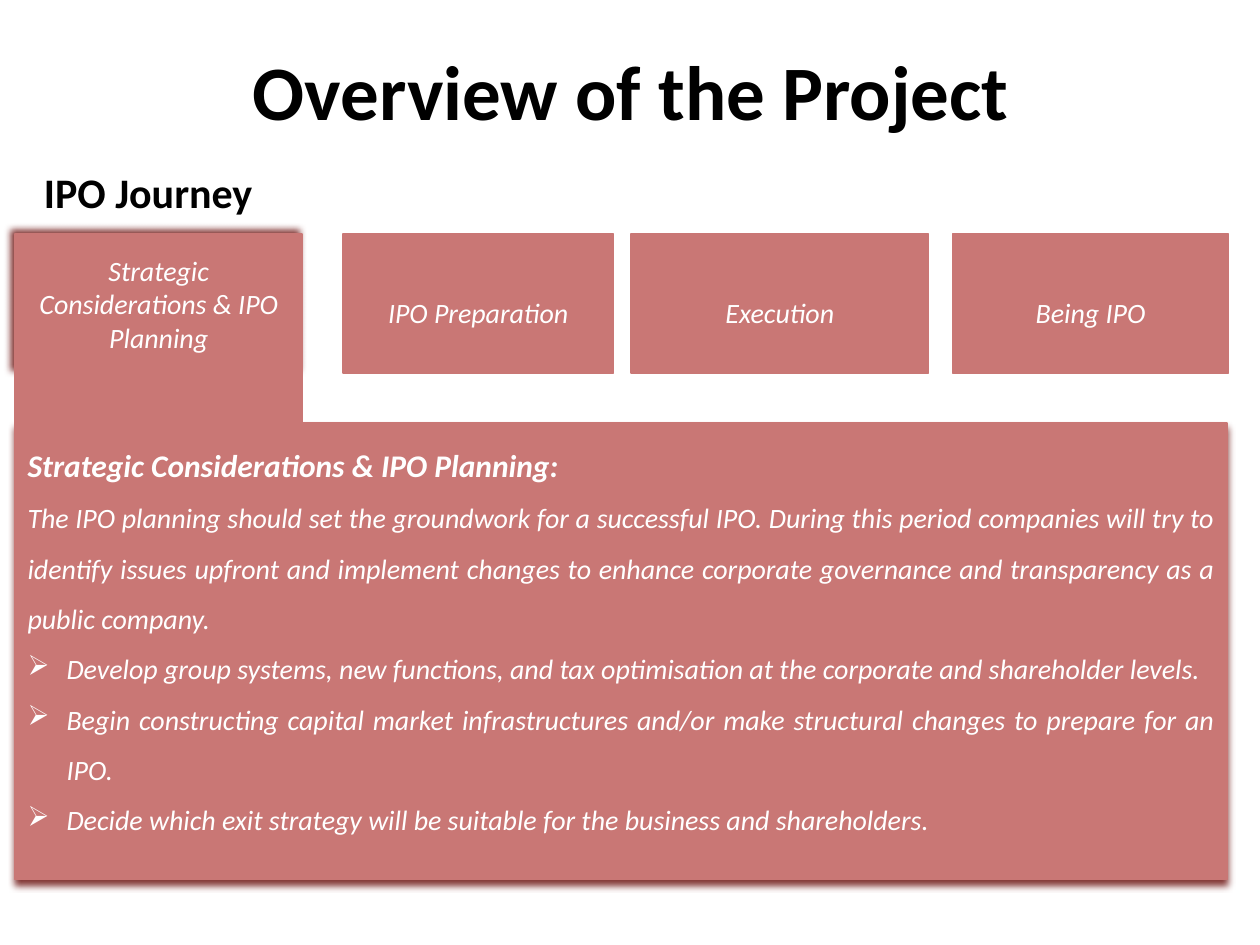
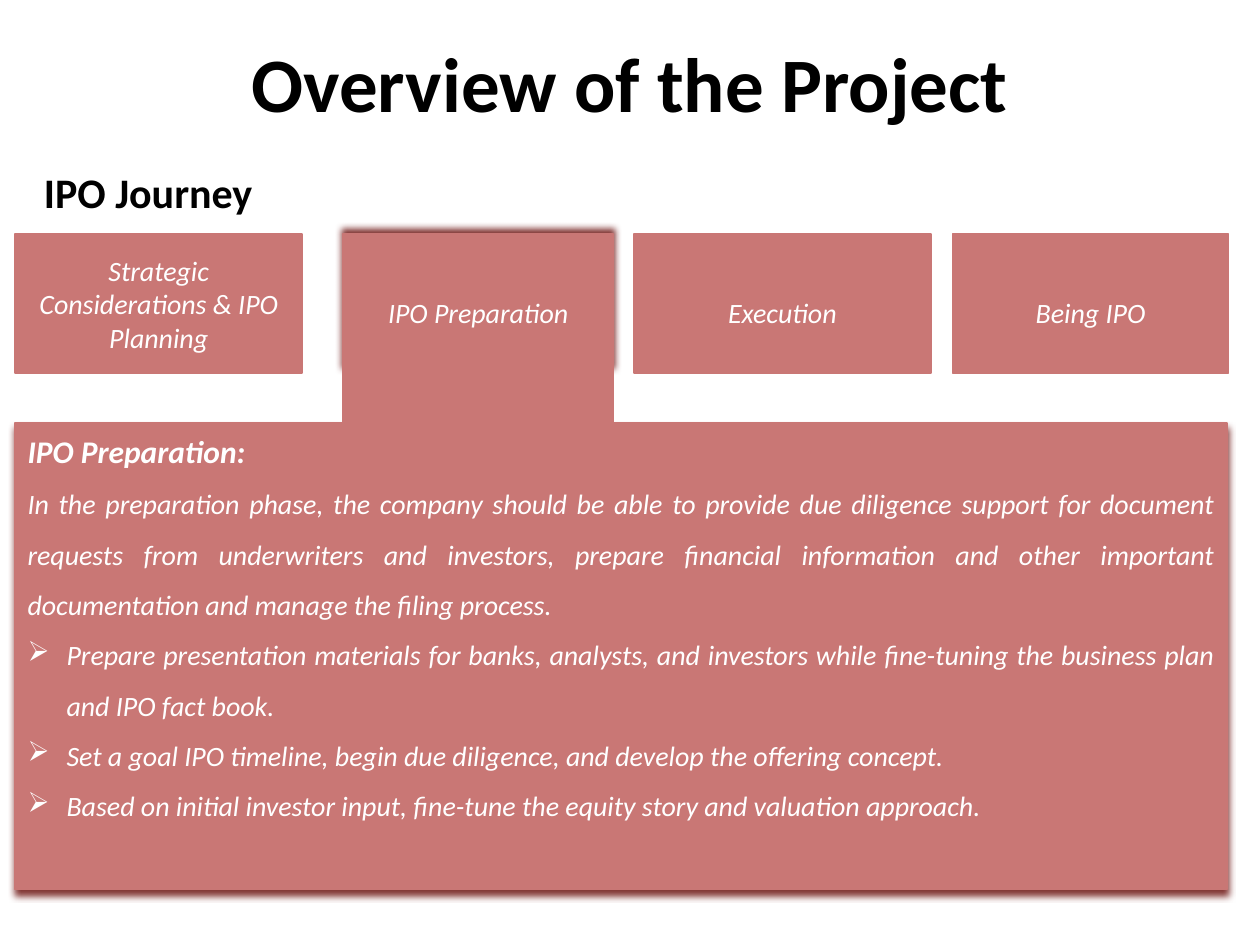
from dataclasses import dataclass

from lxml import etree
from pptx import Presentation
from pptx.dml.color import RGBColor
from pptx.enum.shapes import MSO_SHAPE
from pptx.enum.text import MSO_ANCHOR, PP_ALIGN
from pptx.oxml.ns import qn
from pptx.util import Inches, Pt

RECTANGLE = MSO_SHAPE.RECTANGLE
TOP, MIDDLE = MSO_ANCHOR.TOP, MSO_ANCHOR.MIDDLE
LEFT, CENTER, JUSTIFY = PP_ALIGN.LEFT, PP_ALIGN.CENTER, PP_ALIGN.JUSTIFY


@dataclass(frozen=True)
class Theme:
    font: str = "Calibri"
    ink: RGBColor = RGBColor(0, 0, 0)
    paper: RGBColor = RGBColor(0xFF, 0xFF, 0xFF)
    rose: RGBColor = RGBColor(0xC9, 0x77, 0x75)
    shadow: str = "823634"
    title_size: int = 44
    subtitle_size: int = 24
    heading_size: int = 18
    body_size: int = 16
    loose: float = 1.5


THEME = Theme()

# Stages of the journey: label, width, line spacing
STAGES = [
    ("Strategic Considerations & IPO Planning", 2.28, 1.0),
    ("IPO Preparation", 2.15, THEME.loose),
    ("Execution", 2.36, THEME.loose),
    ("Being IPO", 2.19, THEME.loose),
]
TAB_TOP, TAB_HEIGHT = 1.86, 1.1
PANEL_LEFT, PANEL_TOP, PANEL_WIDTH = 0.12, 3.36, 9.62
BULLET_INDENT = 0.31

PAGES = [
    {
        "title_at": (0.51, 0.37),
        "tab_lefts": (0.12, 2.72, 5.01, 7.56),
        "active": 0,
        "tab_shadow": 225,
        "panel_height": 3.62,
        "space_below": 0.36,
        "intro": "The IPO planning should set the groundwork for a successful IPO. "
                 "During this period companies will try to identify issues upfront and "
                 "implement changes to enhance corporate governance and transparency "
                 "as a public company.",
        "bullets": [
            "Develop group systems, new functions, and tax optimisation at the "
            "corporate and shareholder levels.",
            "Begin constructing capital market infrastructures and/or make structural "
            "changes to prepare for an IPO.",
            "Decide which exit strategy will be suitable for the business and "
            "shareholders.",
        ],
    },
    {
        "title_at": (0.5, 0.3),
        "tab_lefts": (0.12, 2.72, 5.03, 7.56),
        "active": 1,
        "tab_shadow": 270,
        "panel_height": 3.7,
        "space_below": 0.66,
        "intro": "In the preparation phase, the company should be able to provide due "
                 "diligence support for document requests from underwriters and "
                 "investors, prepare financial information and other important "
                 "documentation and manage the filing process.",
        "bullets": [
            "Prepare presentation materials for banks, analysts, and investors while "
            "fine-tuning the business plan and IPO fact book.",
            "Set a goal IPO timeline, begin due diligence, and develop the offering "
            "concept.",
            "Based on initial investor input, fine-tune the equity story and valuation "
            "approach.",
        ],
    },
]


def write(para, text, size, color, align, spacing=1.0, bold=False, italic=False):
    para.text = text
    para.alignment = align
    para.line_spacing = spacing
    for span in para.runs:
        font = span.font
        font.name, font.size, font.color.rgb = THEME.font, Pt(size), color
        font.bold, font.italic = bold, italic


def add_bullet(para):
    props = para._p.get_or_add_pPr()
    props.set("marL", str(Inches(BULLET_INDENT)))
    props.set("indent", str(-Inches(BULLET_INDENT)))
    etree.SubElement(props, qn("a:buChar"), char="➢")


def add_shadow(shape, degrees):
    effects = shape.element.spPr.find(qn("a:effectLst"))
    outer = etree.SubElement(effects, qn("a:outerShdw"), blurRad=str(Pt(4)),
                             dist=str(Pt(3)), dir=str(degrees * 60000),
                             algn="ctr", rotWithShape="0")
    etree.SubElement(outer, qn("a:srgbClr"), val=THEME.shadow)


def add_block(page, box, shadow=None):
    """Rose rectangle, with a shadow cast in the given direction."""
    block = page.shapes.add_shape(RECTANGLE, *map(Inches, box))
    block.fill.solid()
    block.fill.fore_color.rgb = THEME.rose
    block.line.color.rgb = THEME.rose
    block.line.width = Pt(1)
    block.shadow.inherit = False
    if shadow is not None:
        add_shadow(block, shadow)
    block.text_frame.word_wrap = True
    block.text_frame.vertical_anchor = MIDDLE
    return block


def add_heading(page, box, text, size, align, anchor, spacing=1.0):
    frame = page.shapes.add_textbox(*map(Inches, box)).text_frame
    frame.word_wrap = True
    frame.vertical_anchor = anchor
    write(frame.paragraphs[0], text, size, THEME.ink, align, spacing, bold=True)


def add_tabs(page, lefts, active, shadow):
    for index, (left, (label, width, spacing)) in enumerate(zip(lefts, STAGES)):
        box = (left, TAB_TOP, width, TAB_HEIGHT)
        tab = add_block(page, box, shadow if index == active else None)
        write(tab.text_frame.paragraphs[0], label, THEME.body_size, THEME.paper,
              CENTER, spacing, italic=True)


def add_panel(page, box, heading, intro, bullets, space_below):
    frame = add_block(page, box, shadow=90).text_frame
    frame.margin_bottom = Inches(space_below)
    write(frame.paragraphs[0], heading, THEME.heading_size, THEME.paper,
          JUSTIFY, THEME.loose, bold=True, italic=True)
    for index, text in enumerate([intro, *bullets]):
        para = frame.add_paragraph()
        write(para, text, THEME.body_size, THEME.paper, JUSTIFY, THEME.loose,
              italic=True)
        if index > 0:
            add_bullet(para)


def add_journey_page(deck, content):
    page = deck.slides.add_slide(deck.slide_layouts[6])
    active = content["active"]
    label, width, _ = STAGES[active]

    # Headings
    add_heading(page, (*content["title_at"], 9, 0.69), "Overview of the Project",
                THEME.title_size, CENTER, MIDDLE)
    add_heading(page, (0.25, 1.07, 9, 0.75), "IPO Journey",
                THEME.subtitle_size, LEFT, TOP, THEME.loose)

    # Stage tabs and the panel of the active stage
    add_tabs(page, content["tab_lefts"], active, content["tab_shadow"])
    add_panel(page, (PANEL_LEFT, PANEL_TOP, PANEL_WIDTH, content["panel_height"]),
              label + ":", content["intro"], content["bullets"],
              content["space_below"])

    # Neck from the active tab down to the panel
    neck_top = TAB_TOP + TAB_HEIGHT
    add_block(page, (content["tab_lefts"][active], neck_top, width,
                     PANEL_TOP - neck_top))


def main():
    deck = Presentation()
    deck.slide_width, deck.slide_height = Inches(10), Inches(7.5)
    for content in PAGES:
        add_journey_page(deck, content)
    deck.save("out.pptx")


if __name__ == "__main__":
    main()
